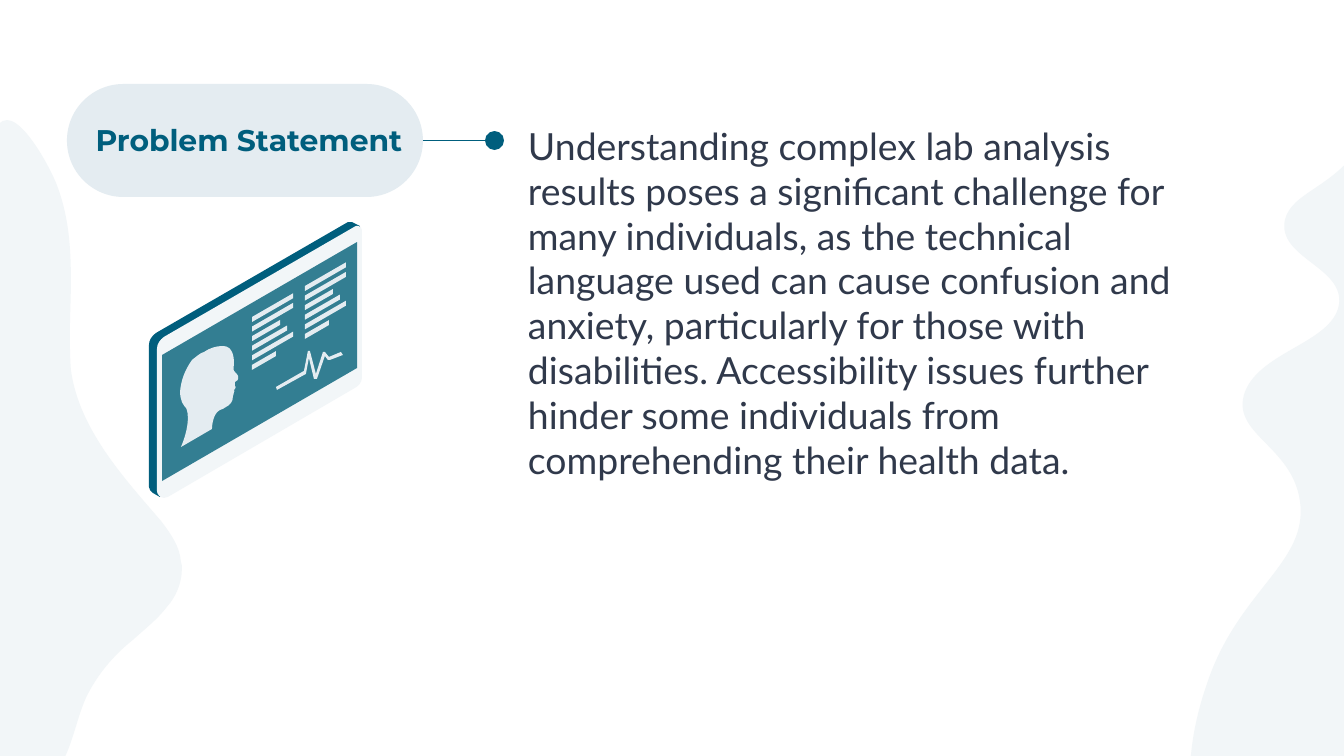
from math import radians, tan

from lxml.etree import SubElement
from pptx import Presentation
from pptx.dml.color import RGBColor
from pptx.enum.shapes import MSO_CONNECTOR, MSO_SHAPE
from pptx.enum.text import MSO_ANCHOR, PP_ALIGN
from pptx.oxml.ns import qn
from pptx.util import Pt

HEADING = "Problem Statement"
STATEMENT = (
    "Understanding complex lab analysis results poses a significant challenge for many "
    "individuals, as the technical language used can cause confusion and anxiety, "
    "particularly for those with disabilities. Accessibility issues further hinder some "
    "individuals from comprehending their health data."
)

TEAL = RGBColor(0x00, 0x5E, 0x7D)
SCREEN_TEAL = RGBColor(0x33, 0x7E, 0x92)
MIST = RGBColor(0xE4, 0xEC, 0xF1)
PALE = RGBColor(0xF2, 0xF6, 0xF8)
INK = RGBColor(0x30, 0x39, 0x4B)

HEADING_FONT = {"name": "Montserrat", "size": Pt(16), "bold": True}
STATEMENT_FONT = {"name": "Lato", "size": Pt(20), "bold": False}

LEFT_WAVE = [
    (-23, 505), (-23, 575, -20, 645, -15, 714), (-13, 729, -12, 745, -7, 759),
    (0, 773, 11, 785, 24, 786), (42, 789, 58, 773, 66, 755), (74, 737, 78, 716, 86, 698),
    (97, 675, 114, 655, 133, 640), (145, 629, 157, 620, 167, 607),
    (176, 597, 182, 583, 182, 569), (182, 566, 182, 564, 181, 562),
    (180, 547, 171, 534, 161, 521), (126, 480, 79, 430, 71, 370),
    (70, 358, 70, 344, 70, 333), (70, 316, 71, 298, 71, 281), (71, 249, 69, 218, 58, 188),
    (51, 167, 5, 82, -7, 140), (-13, 171, -13, 202, -15, 233), (-19, 324, -23, 415, -23, 505),
]
RIGHT_WAVE = [
    (1423, 51), (1413, 55, 1404, 59, 1395, 67), (1371, 89, 1386, 105, 1364, 140),
    (1336, 188, 1292, 191, 1285, 220), (1277, 258, 1345, 267, 1339, 305),
    (1332, 343, 1261, 351, 1245, 392), (1230, 434, 1292, 445, 1300, 501),
    (1309, 563, 1238, 590, 1207, 684), (1200, 704, 1164, 812, 1226, 857),
    (1289, 903, 1423, 856, 1523, 820), (1525, 819, 1529, 817, 1536, 816),
    (1558, 808, 1749, 735, 1742, 684), (1738, 657, 1683, 660, 1676, 626),
    (1671, 599, 1706, 586, 1715, 539), (1722, 503, 1702, 500, 1708, 465),
    (1717, 401, 1794, 386, 1792, 324), (1792, 314, 1790, 308, 1788, 301),
    (1773, 266, 1728, 261, 1706, 202), (1683, 122, 1746, 54, 1702, 32),
    (1679, 20, 1660, 43, 1578, 42), (1536, 42, 1525, 35, 1480, 39),
    (1461, 42, 1441, 44, 1423, 51),
]
TABLET_EDGE = [
    (348, 222), (156, 333), (152, 336, 149, 340, 149, 345), (149, 487),
    (149, 489, 151, 492, 153, 493), (160, 497), (163, 491), (348, 384),
    (352, 382, 355, 378, 355, 374), (355, 246), (360, 226), (352, 222),
]
TABLET_FACE = [
    (356, 226), (164, 337), (160, 340, 157, 344, 157, 349), (157, 491),
    (157, 494, 160, 498, 164, 498), (165, 498, 167, 497, 168, 497), (355, 388),
    (359, 386, 362, 382, 362, 378), (362, 230), (362, 227, 360, 226, 358, 226),
]
SCREEN = [(357, 242), (162, 355), (162, 481), (357, 368)]
HEAD = [
    (223, 346), (216, 346, 210, 348, 204, 352), (200, 353, 196, 357, 192, 360),
    (185, 370, 181, 380, 180, 392), (180, 392, 180, 402, 185, 407),
    (187, 407, 192, 421, 181, 447), (212, 429), (212, 429, 212, 414, 220, 410),
    (222, 409, 224, 409, 226, 407), (230, 405, 233, 402, 233, 396),
    (233, 395, 234, 394, 234, 392), (234, 392, 235, 391, 234, 390),
    (234, 390, 237, 387, 235, 386), (235, 384, 235, 383, 235, 382),
    (237, 382, 239, 379, 238, 376), (238, 375, 235, 372, 234, 371),
    (234, 371, 233, 370, 234, 364), (234, 360, 234, 346, 223, 346),
]
PULSE = [
    (308, 351), (304, 371), (276, 387), (277, 390), (306, 374), (309, 358), (314, 379),
    (317, 379), (325, 356), (328, 360), (330, 360), (343, 355), (341, 352), (329, 357),
    (325, 352), (323, 352), (316, 374), (310, 351),
]
REPORT_COLUMNS = [(252, 317), (305, 286)]
REPORT_LINE_WIDTHS = [41, 41, 28, 35, 41, 24]
REPORT_LAST_LINE = 48
REPORT_LINE_HEIGHT = 5
SLOPE = tan(radians(30))

PILL = (67, 84, 356, 113)
DOT = (485, 131, 19, 19)
HEADING_BOX = (71, 109, 356, 66)
STATEMENT_BOX = (496, 110, 739, 388)
STATEMENT_INDENT = 19
INSET = 13
EXTENT_STEPS = 12


def px(length):
    return round(length * 914400 / 134.4)


def pairs(segment):
    return list(zip(segment[::2], segment[1::2]))


def extent(outline):
    points = [outline[0]]
    for segment in outline[1:]:
        corners = [points[-1], *pairs(segment)]
        if len(corners) == 2:
            points.append(segment)
            continue
        for step in range(1, EXTENT_STEPS + 1):
            t = step / EXTENT_STEPS
            weights = ((1 - t) ** 3, 3 * t * (1 - t) ** 2, 3 * t * t * (1 - t), t ** 3)
            points.append(tuple(
                sum(w * corner[axis] for w, corner in zip(weights, corners))
                for axis in (0, 1)
            ))
    return [(px(x), px(y)) for x, y in points]


def paint(shape, color):
    shape.shadow.inherit = False
    shape.fill.solid()
    shape.fill.fore_color.rgb = color
    shape.line.fill.background()


def draw_outline(slide, outline, color):
    start, *rest = extent(outline)
    builder = slide.shapes.build_freeform(*start)
    builder.add_line_segments(rest, close=True)
    shape = builder.convert_to_shape()
    paint(shape, color)

    route = shape._element.spPr.find(f".//{qn('a:path')}")
    for child in list(route):
        route.remove(child)
    for index, segment in enumerate(outline):
        tag = "a:cubicBezTo" if len(segment) == 6 else "a:lnTo" if index else "a:moveTo"
        move = SubElement(route, qn(tag))
        for x, y in pairs(segment):
            SubElement(move, qn("a:pt"), x=str(px(x) - shape.left), y=str(px(y) - shape.top))
    SubElement(route, qn("a:close"))


def draw_preset(slide, preset, box, color):
    shape = slide.shapes.add_shape(preset, *map(px, box))
    paint(shape, color)
    return shape


def write(slide, text, box, font_format, color, align, indent=0):
    frame = slide.shapes.add_textbox(*map(px, box)).text_frame
    frame_format = {"word_wrap": True, "vertical_anchor": MSO_ANCHOR.TOP}
    for side in ("left", "top", "right", "bottom"):
        frame_format[f"margin_{side}"] = px(INSET)
    for name, value in frame_format.items():
        setattr(frame, name, value)
    paragraph = frame.paragraphs[0]
    paragraph.alignment = align
    paragraph._p.get_or_add_pPr().set("marL", str(px(indent)))
    run = paragraph.add_run()
    run.text = text
    for name, value in font_format.items():
        setattr(run.font, name, value)
    run.font.color.rgb = color


def report_lines():
    gap = REPORT_LAST_LINE / (len(REPORT_LINE_WIDTHS) - 1)
    for x, top in REPORT_COLUMNS:
        for row, width in enumerate(REPORT_LINE_WIDTHS):
            y = top + row * gap
            end = y - width * SLOPE
            yield [(x + width, end), (x, y), (x, y + REPORT_LINE_HEIGHT),
                   (x + width, end + REPORT_LINE_HEIGHT)]


def main():
    deck = Presentation()
    deck.slide_width, deck.slide_height = px(1344), px(756)
    slide = deck.slides.add_slide(deck.slide_layouts[6])

    for wave in (LEFT_WAVE, RIGHT_WAVE):
        draw_outline(slide, wave, PALE)

    pill = draw_preset(slide, MSO_SHAPE.ROUNDED_RECTANGLE, PILL, MIST)
    pill.adjustments[0] = 0.5
    middle = px(PILL[1] + PILL[3] / 2)
    link = slide.shapes.add_connector(
        MSO_CONNECTOR.STRAIGHT, px(PILL[0] + PILL[2]), middle, px(STATEMENT_BOX[0]), middle)
    link.begin_connect(pill, 3)
    link.line.color.rgb = TEAL
    link.line.width = Pt(0.75)
    SubElement(link._element.spPr, qn("a:effectLst"))
    draw_preset(slide, MSO_SHAPE.OVAL, DOT, TEAL)

    write(slide, STATEMENT, STATEMENT_BOX, STATEMENT_FONT, INK, PP_ALIGN.LEFT, STATEMENT_INDENT)
    write(slide, HEADING, HEADING_BOX, HEADING_FONT, TEAL, PP_ALIGN.CENTER)

    tablet = [(TABLET_EDGE, TEAL), (TABLET_FACE, PALE), (SCREEN, SCREEN_TEAL), (HEAD, MIST)]
    tablet += [(line, MIST) for line in report_lines()]
    tablet.append((PULSE, MIST))
    for outline, color in tablet:
        draw_outline(slide, outline, color)

    deck.save("out.pptx")


if __name__ == "__main__":
    main()
